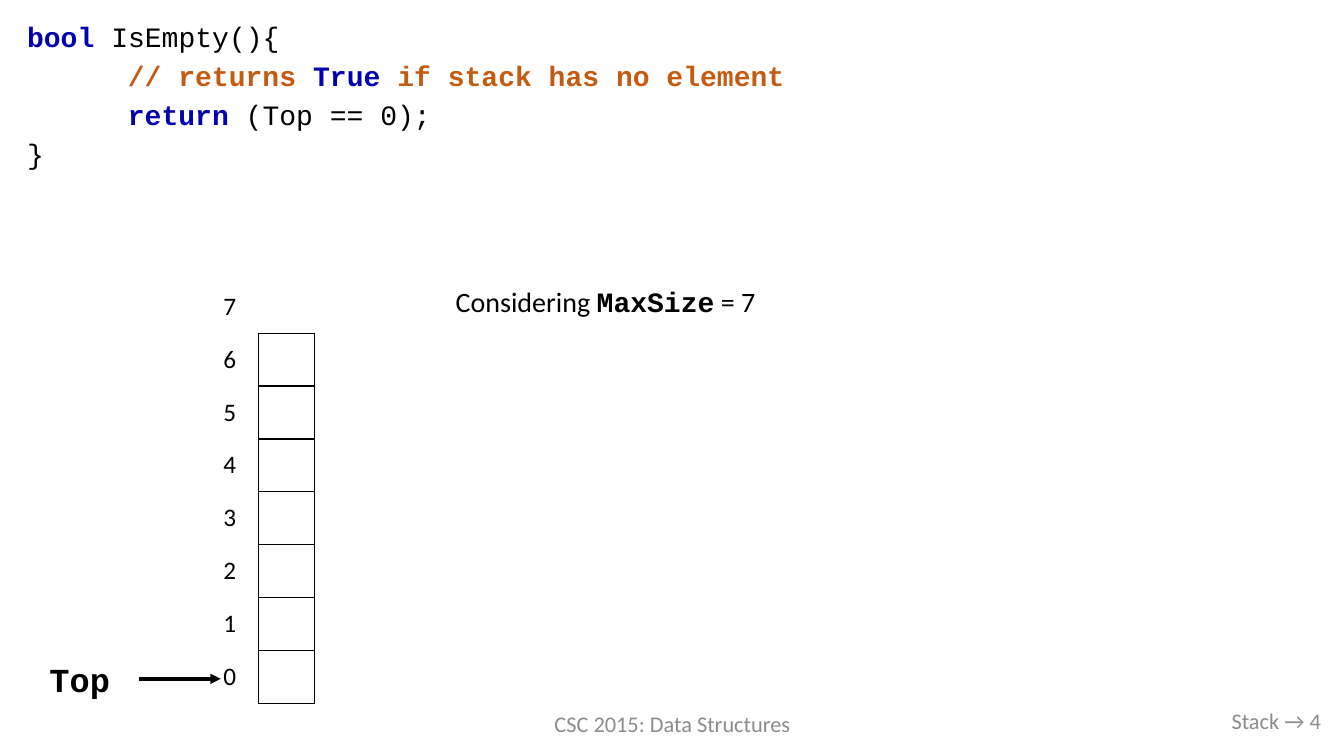
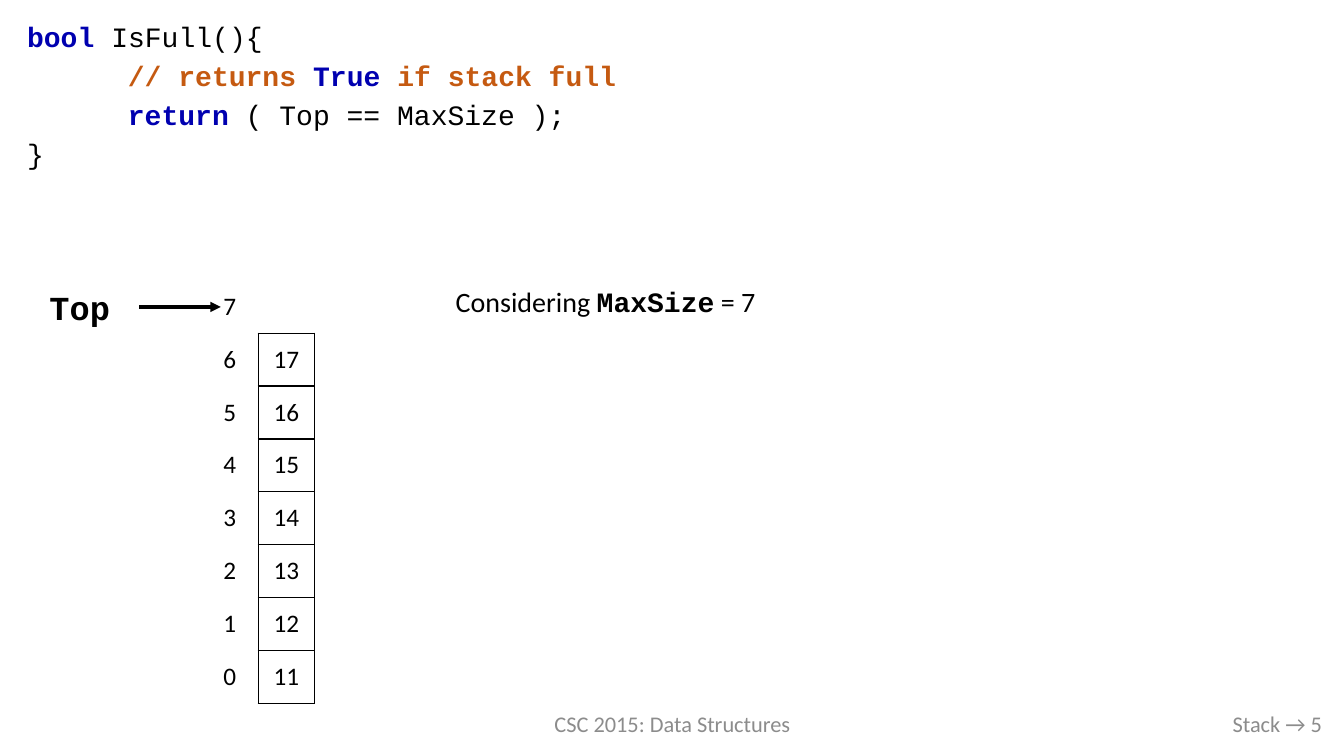
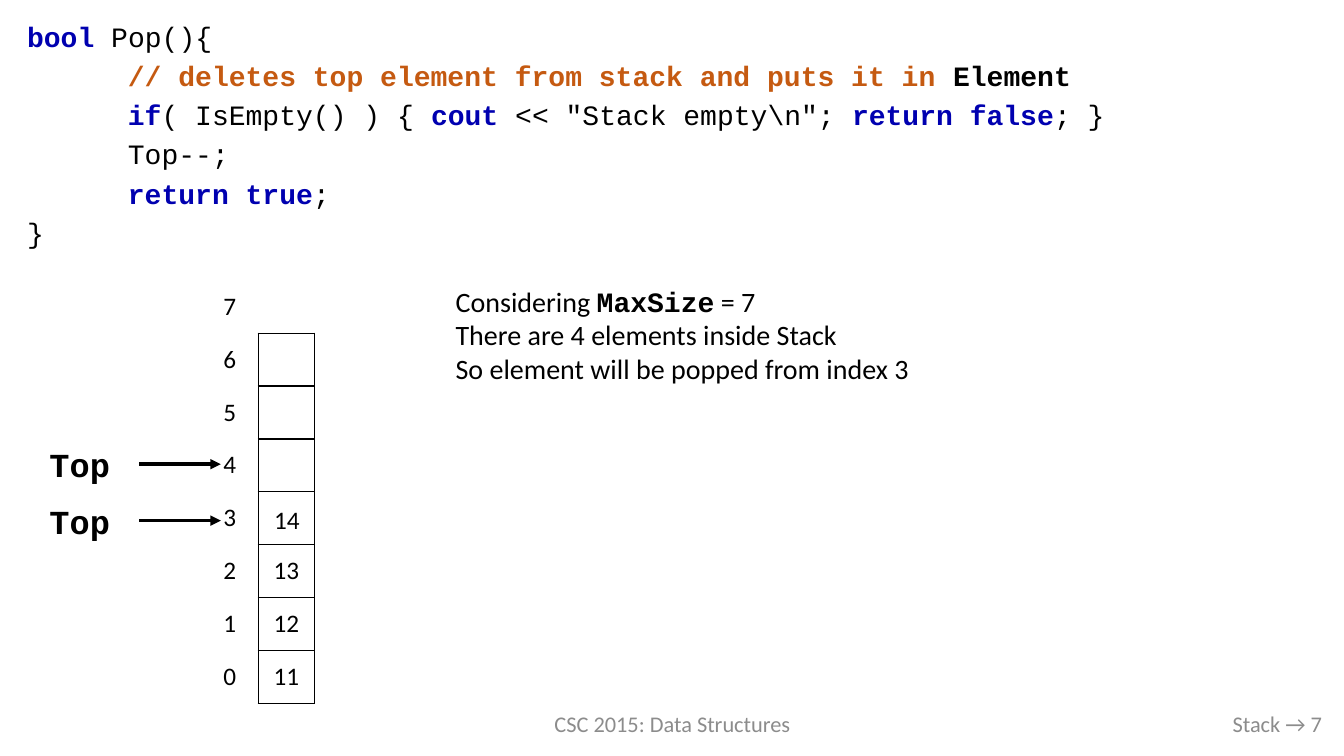
from lxml.etree import SubElement
from pptx import Presentation
from pptx.dml.color import RGBColor
from pptx.enum.shapes import MSO_CONNECTOR, MSO_SHAPE
from pptx.enum.text import MSO_ANCHOR, PP_ALIGN
from pptx.oxml.ns import qn
from pptx.util import Pt

PX = 9144  # 100 px to the inch
BLACK = RGBColor(0x00, 0x00, 0x00)
WHITE = RGBColor(0xFF, 0xFF, 0xFF)
BLUE = RGBColor(0x00, 0x00, 0xB0)
ORANGE = RGBColor(0xC5, 0x5A, 0x11)
GRAY = RGBColor(0x8C, 0x8C, 0x8C)
BODY_FONT = "Calibri"
CODE_FONT = "Courier New"
PLAIN_TABLE_STYLE = "{2D5ABB26-0587-4C30-8999-92F81FD0307C}"

KEYWORD = {"color": BLUE, "bold": True}
COMMENT = {"color": ORANGE, "bold": True}
STRONG = {"bold": True}
CODE_NAME = {"font": CODE_FONT, "bold": True}
PLAIN = {}

MAX_SIZE = 7
MAX_SIZE_NOTE = [("Considering ", PLAIN), ("MaxSize", CODE_NAME), (" = 7", PLAIN)]

SLIDES = [
    {
        "page": 4,
        "page_box": (771, 695, 549, 40),
        "code": [
            [("bool ", KEYWORD), ("IsEmpty(){", PLAIN)],
            [("// returns ", COMMENT), ("True", KEYWORD), (" if stack has no element", COMMENT)],
            [("return", KEYWORD), (" (Top == 0);", PLAIN)],
            "}",
        ],
        "elements": [],
        "pointer_tops": [652],
        "notes": [MAX_SIZE_NOTE],
    },
    {
        "page": 5,
        "page_box": (942, 698, 379, 40),
        "code": [
            [("bool ", KEYWORD), ("IsFull(){", PLAIN)],
            [("// returns ", COMMENT), ("True", KEYWORD), (" if stack full", COMMENT)],
            [("return", KEYWORD), (" ( Top == MaxSize );", PLAIN)],
            "}",
        ],
        "elements": [11, 12, 13, 14, 15, 16, 17],
        "pointer_tops": [283],
        "notes": [MAX_SIZE_NOTE],
    },
    {
        "page": 7,
        "page_box": (942, 698, 379, 40),
        "code": [
            [("bool", KEYWORD), (" Pop(){", PLAIN)],
            [("// deletes top element from stack and puts it in ", COMMENT), ("Element", STRONG)],
            [("if", KEYWORD), ("( IsEmpty() ) { ", PLAIN), ("cout ", KEYWORD),
             ('<< "Stack empty\\n"; ', PLAIN), ("return false", KEYWORD), ("; }", PLAIN)],
            "Top--;",
            [("return true", KEYWORD), (";", PLAIN)],
            "}",
        ],
        "elements": [11, 12, 13],
        "popped": 14,
        "pointer_tops": [495, 439],
        "notes": [
            MAX_SIZE_NOTE,
            "There are 4 elements inside Stack",
            "So element will be popped from index 3",
        ],
    },
]


def write(frame, paragraphs, size=18, font=BODY_FONT, color=BLACK, bold=False,
          align=PP_ALIGN.LEFT, anchor=MSO_ANCHOR.TOP, line_spacing=1.0, space_before=0):
    """Fill a frame; a paragraph is a string or a list of (text, style) runs."""
    frame.word_wrap = True
    frame.vertical_anchor = anchor
    for index, content in enumerate(paragraphs):
        paragraph = frame.add_paragraph() if index else frame.paragraphs[0]
        paragraph.alignment = align
        paragraph.line_spacing = line_spacing
        paragraph.space_before = Pt(space_before if index else 0)
        for text, style in [(content, PLAIN)] if isinstance(content, str) else content:
            run = paragraph.add_run()
            run.text = text
            run.font.size = Pt(size)
            run.font.name = style.get("font", font)
            run.font.bold = style.get("bold", bold)
            run.font.color.rgb = style.get("color", color)


def draw_borders(cell, sides):
    properties = cell._tc.get_or_add_tcPr()
    for side in sides:
        border = SubElement(properties, qn(f"a:ln{side}"), w=str(Pt(1)))
        fill = SubElement(border, qn("a:solidFill"))
        SubElement(fill, qn("a:srgbClr"), val=str(BLACK))


presentation = Presentation()
presentation.slide_width = 1333 * PX
presentation.slide_height = 750 * PX
blank_layout = presentation.slide_layouts[6]
centered = {"align": PP_ALIGN.CENTER, "anchor": MSO_ANCHOR.MIDDLE}

for content in SLIDES:
    shapes = presentation.slides.add_slide(blank_layout).shapes

    course = shapes.add_textbox(442 * PX, 698 * PX, 450 * PX, 40 * PX)
    write(course.text_frame, ["CSC 2015: Data Structures"], size=16, color=GRAY, **centered)
    page = shapes.add_textbox(*(length * PX for length in content["page_box"]))
    write(page.text_frame, [f"Stack → {content['page']}"], size=16, color=GRAY,
          align=PP_ALIGN.RIGHT, anchor=MSO_ANCHOR.MIDDLE)

    code = shapes.add_textbox(17 * PX, 22 * PX, 1299 * PX, 38 * len(content["code"]) * PX)
    write(code.text_frame, content["code"], size=20, font=CODE_FONT,
          line_spacing=0.75, space_before=10)
    for body_line in code.text_frame.paragraphs[1:-1]:
        body_line._p.get_or_add_pPr().set("marL", str(100 * PX))

    stack = shapes.add_table(MAX_SIZE + 1, 2, 200 * PX, 278 * PX, 112 * PX, 420 * PX).table
    stack.first_row = stack.horz_banding = False
    stack._tbl.tblPr.find(qn("a:tableStyleId")).text = PLAIN_TABLE_STYLE
    for row in range(MAX_SIZE + 1):
        index = MAX_SIZE - row
        index_cell, element_cell = stack.cell(row, 0), stack.cell(row, 1)
        write(index_cell.text_frame, [str(index)], align=PP_ALIGN.CENTER)
        if index < len(content["elements"]):
            write(element_cell.text_frame, [str(content["elements"][index])],
                  align=PP_ALIGN.CENTER)
        draw_borders(index_cell, "R" if row else "")
        draw_borders(element_cell, "LRTB" if row else "B")
        for cell in (index_cell, element_cell):
            cell.vertical_anchor = MSO_ANCHOR.MIDDLE
            cell.fill.background()

    for top in content["pointer_tops"]:
        label = shapes.add_shape(MSO_SHAPE.RECTANGLE, 20 * PX, top * PX, 118 * PX, 43 * PX)
        label.shadow.inherit = False
        label.fill.solid()
        label.fill.fore_color.rgb = WHITE
        label.line.fill.background()
        write(label.text_frame, ["Top"], size=24, font=CODE_FONT, bold=True, **centered)

        middle = label.top + label.height // 2
        arrow = shapes.add_connector(MSO_CONNECTOR.STRAIGHT, 138 * PX, middle, 219 * PX, middle)
        arrow.begin_connect(label, 3)
        arrow.line.color.rgb = BLACK
        arrow.line.width = Pt(2.5)
        SubElement(arrow.line._get_or_add_ln(), qn("a:tailEnd"), type="triangle")
        SubElement(arrow._element.spPr, qn("a:effectLst"))

    notes = shapes.add_textbox(442 * PX, 277 * PX, 548 * PX, (10 + 34 * len(content["notes"])) * PX)
    write(notes.text_frame, content["notes"], size=20)

    if "popped" in content:
        popped = shapes.add_textbox(257 * PX, 489 * PX, 55 * PX, 52 * PX)
        write(popped.text_frame, [str(content["popped"])], **centered)

presentation.save("out.pptx")
